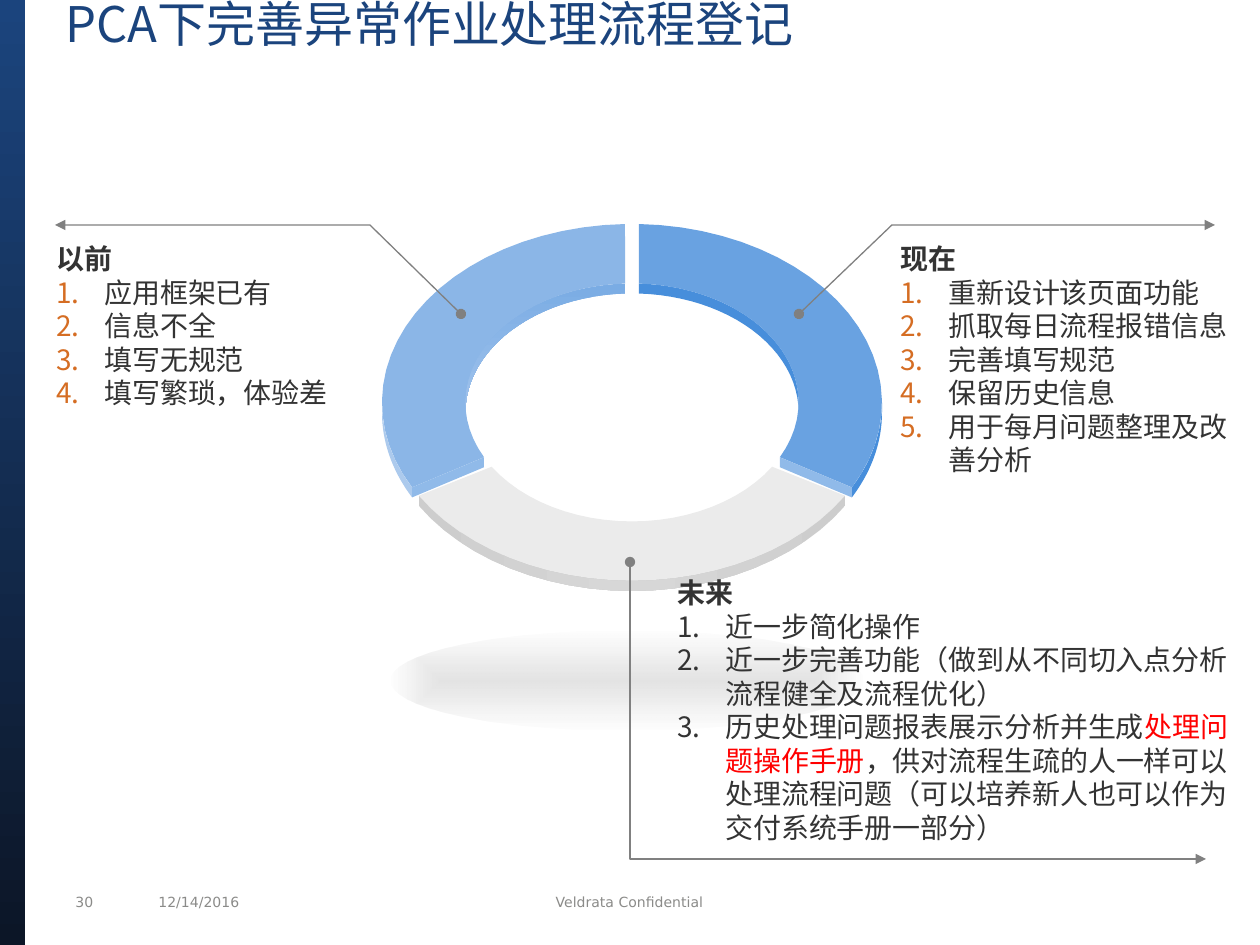
from dataclasses import dataclass
from math import cos, radians, sin

from lxml.etree import SubElement
from pptx import Presentation
from pptx.dml.color import RGBColor
from pptx.enum.shapes import MSO_SHAPE as SHAPE
from pptx.enum.text import MSO_ANCHOR as ANCHOR, PP_ALIGN as ALIGN
from pptx.oxml.ns import qn
from pptx.util import Pt

PX = 914400 / 126


@dataclass(frozen=True)
class Theme:
    cjk: str = "Noto Sans CJK SC"
    latin: str = "DejaVu Sans"
    title_size: int = 28
    body_size: int = 16
    footer_size: int = 8
    line_pitch: float = 19.15
    navy: str = "1B447D"
    night: str = "0C1627"
    text: str = "333333"
    footer: str = "8B8B89"
    number: str = "D56D23"
    alert: str = "FF0000"
    rule: str = "808080"
    now: str = "69A2E1"
    now_edge: str = "478EDB"
    before: str = "8BB6E7"
    before_edge: str = "ACCAED"
    before_inner: tuple = ("7AACE4", "A1C3EC")
    cut: str = "90BAE9"
    future: str = "EBEBEB"
    future_edge: tuple = ("CDCDCD", "D7D7D7", "CDCDCD")
    shadow: str = "000000"


T = Theme()


def emu(*lengths):
    return [round(v * PX) for v in lengths]


def add_run(p, text, size=T.body_size, color=T.text, font=T.cjk, bold=False):
    r = p.add_run()
    r.text = text
    r.font.size, r.font.bold, r.font.name = Pt(size), bold, font
    r.font.color.rgb = RGBColor.from_string(color)
    SubElement(r.font._element, qn("a:ea"), typeface=font)


def add_text_box(s, box, anchor=ANCHOR.TOP):
    tf = s.shapes.add_textbox(*emu(*box)).text_frame
    tf.word_wrap, tf.vertical_anchor = True, anchor
    return tf


def paint(sp, color):
    sp.shadow.inherit = False
    sp.line.fill.background()
    sp.fill.solid()
    sp.fill.fore_color.rgb = RGBColor.from_string(color)


def paint_gradient(sp, colors, angle=None, alphas=None):
    """Spread the colours evenly; without an angle they run from the centre out."""
    paint(sp, colors[0])
    props = sp._element.spPr
    grad = props.makeelement(qn("a:gradFill"), {"rotWithShape": "1"})
    stops = SubElement(grad, qn("a:gsLst"))
    for i, color in enumerate(colors):
        stop = SubElement(stops, qn("a:gs"), pos=str(100000 * i // (len(colors) - 1)))
        clr = SubElement(stop, qn("a:srgbClr"), val=color)
        if alphas:
            SubElement(clr, qn("a:alpha"), val=str(alphas[i] * 1000))
    if angle is None:
        path = SubElement(grad, qn("a:path"), path="shape")
        SubElement(path, qn("a:fillToRect"), {side: "50000" for side in "ltrb"})
    else:
        SubElement(grad, qn("a:lin"), ang=str(angle * 60000), scaled="0")
    props.replace(props.find(qn("a:solidFill")), grad)


def add_outline(s, points, close=True):
    start, *rest = [emu(*point) for point in points]
    builder = s.shapes.build_freeform(*start)
    builder.add_line_segments(rest, close=close)
    return builder.convert_to_shape()


def add_sidebar(s, box):
    sp = s.shapes.add_shape(SHAPE.RECTANGLE, *emu(*box))
    paint_gradient(sp, (T.night, T.navy), angle=270)


def add_title(s, box, text):
    sp = s.shapes.title
    sp.left, sp.top, sp.width, sp.height = emu(*box)
    tf = sp.text_frame
    tf.margin_top = tf.margin_bottom = 0
    tf.vertical_anchor = ANCHOR.TOP
    p = tf.paragraphs[0]
    p.alignment, p.line_spacing = ALIGN.LEFT, 0.9
    add_run(p, text, size=T.title_size, color=T.navy)


def add_footer(s, box):
    x, y, _, h = box
    for dx, w, text, align in ((0, 63, "30", ALIGN.LEFT),
                               (83, 210, "12/14/2016", ALIGN.LEFT),
                               (304, 525, "Veldrata Confidential", ALIGN.CENTER)):
        p = add_text_box(s, (x + dx, y, w, h), ANCHOR.MIDDLE).paragraphs[0]
        p.alignment = align
        add_run(p, text, size=T.footer_size, color=T.footer, font=T.latin)


def add_ring(s, box):
    """Three thick ring segments; angles run clockwise from the top."""
    x, y, w, h = box
    depth = 10
    outer = (w / 2, h / 2)
    inner = (w / 3, h / 3)

    def arc(radii, start, stop, drop=0, steps=24):
        angles = (radians(start + (stop - start) * i / steps) for i in range(steps + 1))
        return [(x + w / 2 + radii[0] * sin(a), y + h / 2 - radii[1] * cos(a) + drop)
                for a in angles]

    def face(out_start, out_stop, in_start, in_stop):
        return add_outline(s, arc(outer, out_start, out_stop) + arc(inner, in_stop, in_start))

    def wall(radii, start, stop):
        return add_outline(s, arc(radii, start, stop) + arc(radii, stop, start, depth))

    for side, top, edge in ((1, T.now, T.now_edge), (-1, T.before, T.before_edge)):
        inside = wall(inner, side * 2.4, side * 90)
        if side > 0:
            paint(inside, edge)
        else:
            paint_gradient(inside, T.before_inner, angle=90)
        paint(face(side * 1.6, side * 118.4, side * 2.4, side * 117.4), top)
        paint(wall(outer, side * 90, side * 118.4), edge)
        (x1, y1), (x2, y2) = arc(inner, 0, side * 117.4)[-1], arc(outer, 0, side * 118.4)[-1]
        end = add_outline(s, [(x1, y1), (x1, y1 + depth), (x2, y2 + depth), (x2, y2)])
        paint(end, T.cut)

    paint(face(121.5, 238.5, 122.7, 237.3), T.future)
    paint_gradient(wall(outer, 121.5, 238.5), T.future_edge, angle=0)


def add_ring_shadow(s, box):
    sp = s.shapes.add_shape(SHAPE.OVAL, *emu(*box))
    paint_gradient(sp, (T.shadow, T.shadow), alphas=(11, 0))


def add_leader(s, points):
    sp = add_outline(s, points, close=False)
    sp.shadow.inherit = False
    sp.fill.background()
    sp.line.color.rgb = RGBColor.from_string(T.rule)
    sp.line.width = Pt(0)
    ln = sp._element.spPr.find(qn("a:ln"))
    SubElement(ln, qn("a:headEnd"), type="oval")
    SubElement(ln, qn("a:tailEnd"), type="triangle")


def number_paragraph(p, color):
    props = p._p.get_or_add_pPr()
    indent = emu(48)[0]
    props.set("marL", str(indent))
    props.set("indent", str(-indent))
    SubElement(SubElement(props, qn("a:buClr")), qn("a:srgbClr"), val=color)
    SubElement(props, qn("a:buFont"), typeface=T.cjk)
    SubElement(props, qn("a:buAutoNum"), type="arabicPeriod")


def add_callout(s, box, leader, heading, items, number=T.number):
    """An item is a tuple of runs, each a text and its colour, or a plain text."""
    x, y = box[:2]
    add_leader(s, [(x + dx, y + dy) for dx, dy in leader])
    tf = add_text_box(s, box)
    tf.margin_top = emu(8)[0]
    p = tf.paragraphs[0]
    p.line_spacing = Pt(T.line_pitch)
    add_run(p, heading, bold=True)
    for item in items:
        p = tf.add_paragraph()
        p.line_spacing = Pt(T.line_pitch)
        number_paragraph(p, number)
        for text, color in ((item, T.text),) if isinstance(item, str) else item:
            add_run(p, text, color=color)


def main():
    prs = Presentation()
    prs.slide_width, prs.slide_height = emu(1260, 945)
    s = prs.slides.add_slide(prs.slide_layouts[5])
    add_footer(s, (63, 887, 829, 30))
    add_sidebar(s, (0, 0, 25, 946))
    add_title(s, (53, 0, 1176, 125), "PCA下完善异常作业处理流程登记")
    add_ring(s, (382, 224, 500, 357))
    add_ring_shadow(s, (391, 631, 472, 100))
    add_callout(s, (44, 234, 328, 251), [(417, 80), (326, -9), (11, -9)], "以前",
                ["应用框架已有", "信息不全", "填写无规范", "填写繁琐，体验差"])
    add_callout(s, (888, 234, 358, 251), [(-89, 80), (4, -9), (327, -9)], "现在",
                ["重新设计该页面功能", "抓取每日流程报错信息", "完善填写规范",
                 "保留历史信息", "用于每月问题整理及改善分析"])
    manual = (("历史处理问题报表展示分析并生成", T.text),
              ("处理问题操作手册", T.alert),
              ("，供对流程生疏的人一样可以处理流程问题"
               "（可以培养新人也可以作为交付系统手册一部分）", T.text))
    add_callout(s, (665, 568, 595, 285), [(-35, -6), (-35, 291), (541, 291)], "未来",
                ["近一步简化操作",
                 "近一步完善功能（做到从不同切入点分析流程健全及流程优化）", manual],
                number=T.text)
    prs.save("out.pptx")


if __name__ == "__main__":
    main()
